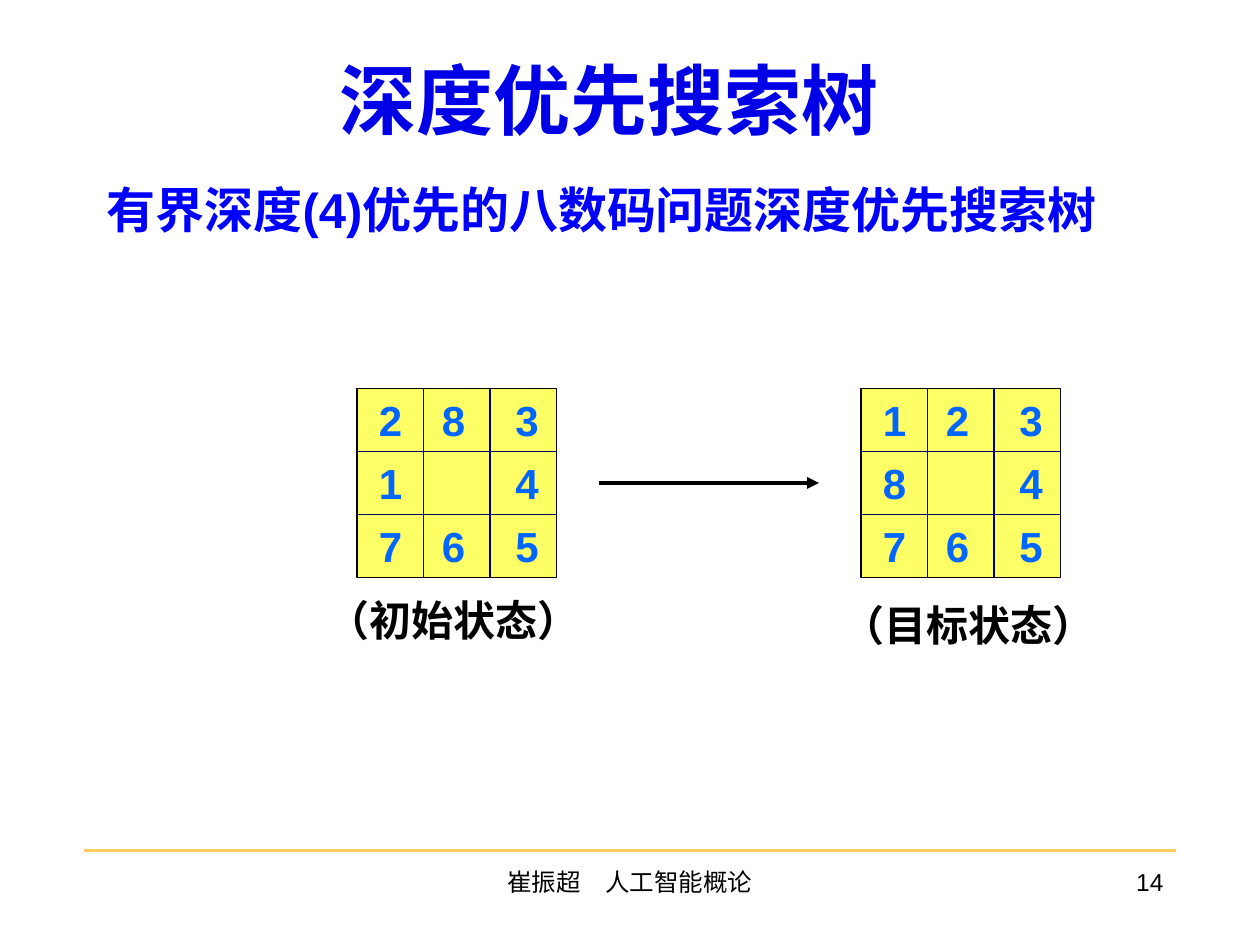
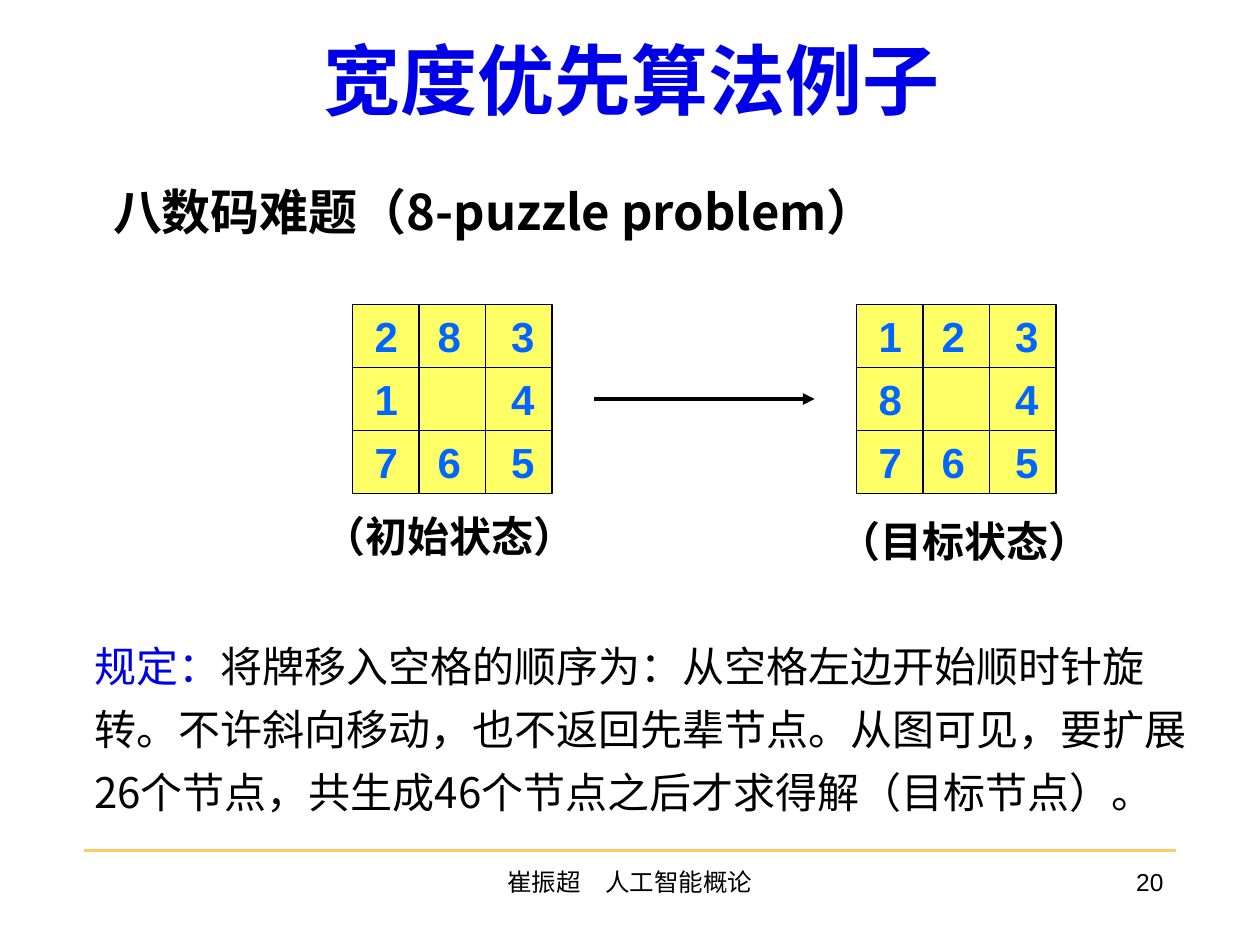
from dataclasses import dataclass

from lxml.etree import SubElement
from pptx import Presentation
from pptx.dml.color import RGBColor
from pptx.enum.shapes import MSO_CONNECTOR, MSO_SHAPE
from pptx.enum.text import MSO_ANCHOR, MSO_AUTO_SIZE, PP_ALIGN
from pptx.oxml.ns import qn
from pptx.util import Pt


@dataclass(frozen=True)
class Theme:
    latin: str = "Arial"
    chinese: str = "Noto Sans CJK SC"
    title_blue: str = "0000E7"
    topic_blue: str = "0000FF"
    digit_blue: str = "0066FF"
    grid_navy: str = "000066"
    tile_yellow: str = "FFFF66"
    rule_gold: str = "FFCC66"
    black: str = "000000"
    title_size: float = 44
    topic_size: float = 28
    text_size: float = 24
    footer_size: float = 14
    thin: float = 0.75
    medium: float = 1.5
    thick: float = 2.25


THEME = Theme()
CELL_WIDTH, CELL_HEIGHT = 38, 36
DIGIT_OFFSETS = (5.5, 41.5, 83.5)
GOAL_OFFSET = 288
INITIAL_STATE = ("283", "1 4", "765")
GOAL_STATE = ("123", "8 4", "765")


def style_run(run, size, color, bold=False, latin=THEME.latin):
    run.font.size = Pt(size)
    run.font.bold = bold
    run.font.color.rgb = RGBColor.from_string(color)
    run.font.name = latin
    SubElement(run._r.get_or_add_rPr(), qn("a:ea"), typeface=THEME.chinese)


def add_text(shapes, box, text, size, color, bold=False, latin=THEME.latin,
             align=PP_ALIGN.LEFT, wrap=True):
    textbox = shapes.add_textbox(*map(Pt, box))
    frame = textbox.text_frame
    frame.word_wrap = wrap
    frame.auto_size = MSO_AUTO_SIZE.NONE if wrap else MSO_AUTO_SIZE.SHAPE_TO_FIT_TEXT
    frame.text = text
    paragraph = frame.paragraphs[0]
    paragraph.alignment = align
    style_run(paragraph.runs[0], size, color, bold, latin)
    return paragraph


def add_line(shapes, start, end, color, width, arrow=False):
    connector = shapes.add_connector(MSO_CONNECTOR.STRAIGHT, *map(Pt, start + end))
    connector.line.color.rgb = RGBColor.from_string(color)
    connector.line.width = Pt(width)
    if arrow:
        SubElement(connector.line._get_or_add_ln(), qn("a:tailEnd"), type="triangle")
    SubElement(connector._element.spPr, qn("a:effectLst"))


def draw_title(slide, box, text):
    title = slide.shapes.title
    title.left, title.top, title.width, title.height = map(Pt, box)
    frame = title.text_frame
    frame.text = text
    frame.auto_size = MSO_AUTO_SIZE.NONE
    frame.vertical_anchor = MSO_ANCHOR.MIDDLE
    frame.paragraphs[0].alignment = PP_ALIGN.CENTER
    style_run(frame.paragraphs[0].runs[0], THEME.title_size, THEME.title_blue,
              bold=True, latin=THEME.chinese)


def draw_footer(slide, number, left=48, top=486, width=624):
    add_line(slide.shapes, (left, top), (left + width, top),
             THEME.rule_gold, THEME.medium)
    add_text(slide.shapes, (left + 198, top + 6, 228, 36), "崔振超　人工智能概论",
             THEME.footer_size, THEME.black, align=PP_ALIGN.CENTER)
    add_text(slide.shapes, (left + width - 150, top + 6, 150, 36), str(number),
             THEME.footer_size, THEME.black, align=PP_ALIGN.RIGHT)


def draw_board(slide, left, top, state):
    shapes = slide.shapes.add_group_shape().shapes
    width, height = 3 * CELL_WIDTH, 3 * CELL_HEIGHT
    board = shapes.add_shape(MSO_SHAPE.RECTANGLE, *map(Pt, (left, top, width, height)))
    board.shadow.inherit = False
    board.fill.solid()
    board.fill.fore_color.rgb = RGBColor.from_string(THEME.tile_yellow)
    board.line.color.rgb = RGBColor.from_string(THEME.black)
    board.line.width = Pt(THEME.thin)
    for step in (1, 2):
        y = top + step * CELL_HEIGHT
        add_line(shapes, (left, y), (left + width, y), THEME.grid_navy, THEME.thin)
    for step in (1, 2):
        x = left + step * CELL_WIDTH
        add_line(shapes, (x, top), (x, top + height), THEME.grid_navy, THEME.thin)
    for row, digits in enumerate(state):
        for offset, digit in zip(DIGIT_OFFSETS, digits):
            if digit != " ":
                add_text(shapes, (left + offset, top + row * CELL_HEIGHT, 27.5, 36),
                         digit, THEME.text_size, THEME.digit_blue, bold=True, wrap=False)


def draw_puzzle(slide, left, top):
    draw_board(slide, left, top, INITIAL_STATE)
    draw_board(slide, left + GOAL_OFFSET, top, GOAL_STATE)
    add_line(slide.shapes, (left + 138, top + 54), (left + 264, top + 54),
             THEME.black, THEME.thick, arrow=True)
    captions = (("（初始状态）", -23.75, 114), ("（目标状态）", GOAL_OFFSET - 17.5, 117))
    for caption, dx, dy in captions:
        add_text(slide.shapes, (left + dx, top + dy, 158.4, 36), caption,
                 THEME.text_size, THEME.black, bold=True, wrap=False)


def draw_move_rule(slide, box):
    paragraph = add_text(slide.shapes, box, "规定：", THEME.text_size,
                         THEME.title_blue, latin=THEME.chinese)
    paragraph.line_spacing = Pt(36)
    paragraph._p.get_or_add_pPr().set("hangingPunct", "0")
    explanation = paragraph.add_run()
    explanation.text = (
        "将牌移入空格的顺序为：从空格左边开始顺时针旋转。"
        "不许斜向移动，也不返回先辈节点。"
        "从图可见，要扩展26个节点，共生成46个节点之后才求得解（目标节点）。"
    )
    style_run(explanation, THEME.text_size, THEME.black, latin=THEME.chinese)


def build_depth_first(slide):
    draw_title(slide, (105, 26.5, 486, 60), "深度优先搜索树")
    add_text(slide.shapes, (54, 99, 600, 347), "有界深度(4)优先的八数码问题深度优先搜索树",
             THEME.topic_size, THEME.topic_blue, bold=True)
    draw_puzzle(slide, 204, 222)
    draw_footer(slide, 14)


def build_breadth_first(slide):
    draw_title(slide, (110.5, 15, 501, 60.5), "宽度优先算法例子")
    add_text(slide.shapes, (57.5, 100, 564, 438), "八数码难题（8-puzzle problem）",
             THEME.topic_size, THEME.black, bold=True, latin=THEME.chinese)
    draw_puzzle(slide, 201.5, 174)
    draw_move_rule(slide, (46.8, 355, 646.5, 115))
    draw_footer(slide, 20)


def main():
    prs = Presentation()
    prs.slide_width, prs.slide_height = Pt(720), Pt(540)
    title_only = prs.slide_layouts[5]
    for build in (build_depth_first, build_breadth_first):
        build(prs.slides.add_slide(title_only))
    prs.save("out.pptx")


if __name__ == "__main__":
    main()
